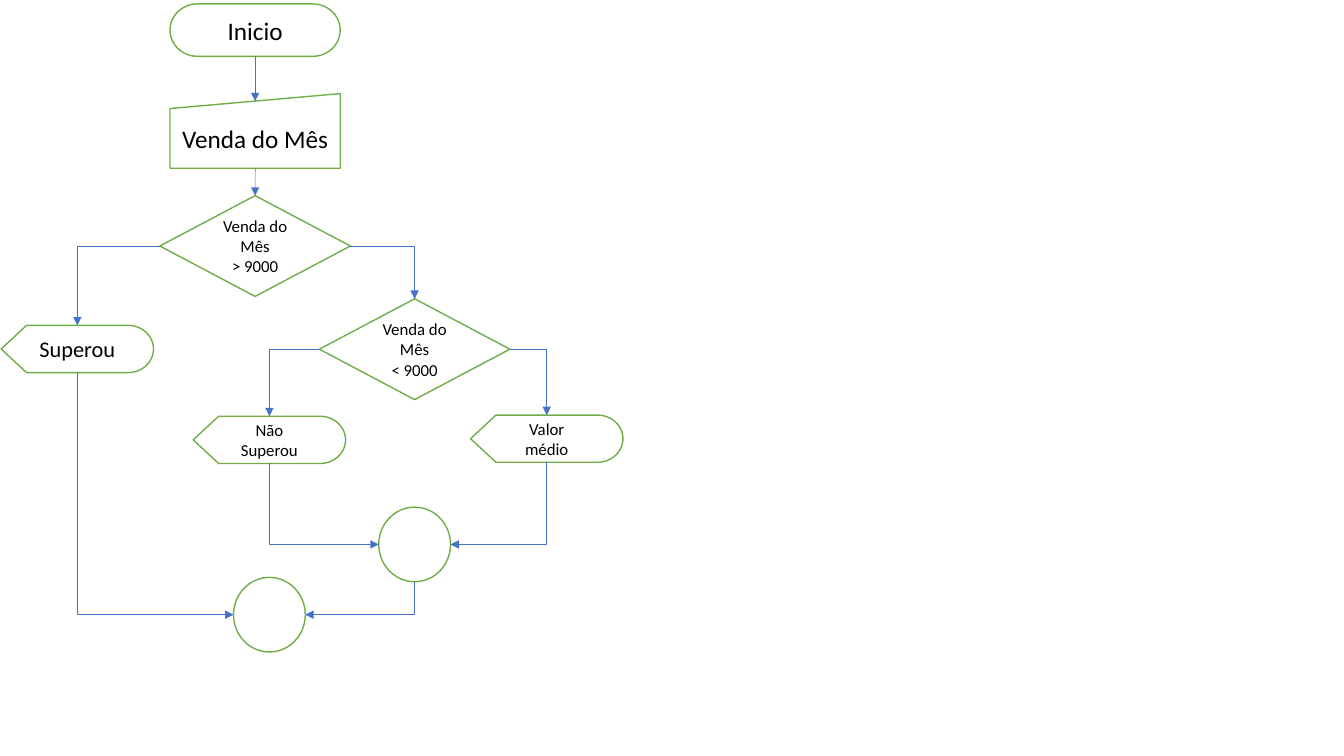
from pptx import Presentation
from pptx.dml.color import RGBColor
from pptx.enum.shapes import MSO_CONNECTOR, MSO_SHAPE
from pptx.enum.text import MSO_ANCHOR, PP_ALIGN
from pptx.oxml.ns import qn
from pptx.util import Cm, Pt
from lxml import etree

TERMINATOR = MSO_SHAPE.FLOWCHART_TERMINATOR
INPUT = MSO_SHAPE.FLOWCHART_MANUAL_INPUT
DECISION = MSO_SHAPE.FLOWCHART_DECISION
DISPLAY = MSO_SHAPE.FLOWCHART_DISPLAY
JOIN = MSO_SHAPE.FLOWCHART_CONNECTOR
STRAIGHT, ELBOW = MSO_CONNECTOR.STRAIGHT, MSO_CONNECTOR.ELBOW
CENTER, MIDDLE = PP_ALIGN.CENTER, MSO_ANCHOR.MIDDLE

COLORS = {"fill": "FFFFFF", "outline": "70AD47", "arrow": "4472C4", "text": "000000"}
FONT = "Calibri"
SIZES = {  # width and height in cm
    TERMINATOR: (4.29, 1.32),
    INPUT: (4.29, 1.88),
    DECISION: (4.8, 2.54),
    DISPLAY: (3.84, 1.19),
    JOIN: (1.81, 1.88),
}
TOP, BOTTOM = 0, 2


def color(name):
    return RGBColor.from_string(COLORS[name])


def write_text(shape, text, size=12, align=CENTER, anchor=MIDDLE):
    frame = shape.text_frame
    frame.word_wrap = True
    frame.vertical_anchor = anchor
    for index, line in enumerate(text.split("\n")):
        paragraph = frame.add_paragraph() if index else frame.paragraphs[0]
        paragraph.text = line
        paragraph.alignment = align
        paragraph.font.name = FONT
        paragraph.font.size = Pt(size)
        paragraph.font.color.rgb = color("text")


def add_node(slide, kind, center_x, top, text="", **text_format):
    """Place a flowchart symbol by its centre line and top edge, in cm."""
    width, height = SIZES[kind]
    shape = slide.shapes.add_shape(
        kind, Cm(center_x - width / 2), Cm(top), Cm(width), Cm(height))
    shape.shadow.inherit = False
    shape.fill.solid()
    shape.fill.fore_color.rgb = color("fill")
    shape.line.color.rgb = color("outline")
    shape.line.width = Pt(1)
    if text:
        write_text(shape, text, **text_format)
    return shape


def side_point(shape, side):
    middle_x = shape.left + shape.width // 2
    middle_y = shape.top + shape.height // 2
    return {
        "left": (shape.left, middle_y),
        "right": (shape.left + shape.width, middle_y),
        "top": (middle_x, shape.top),
        "bottom": (middle_x, shape.top + shape.height),
    }[side]


def add_arrow(slide, kind, start, end):
    arrow = slide.shapes.add_connector(kind, *start, *end)
    arrow.line.color.rgb = color("arrow")
    arrow.line.width = Pt(0.5)
    tail = etree.SubElement(arrow.line._get_or_add_ln(), qn("a:tailEnd"))
    tail.set("type", "triangle")
    etree.SubElement(arrow._element.spPr, qn("a:effectLst"))
    return arrow


def add_down_arrow(slide, upper, lower, top_slant=0):
    """Join two stacked symbols; top_slant lowers the tip onto a slanted top."""
    start, (end_x, end_y) = side_point(upper, "bottom"), side_point(lower, "top")
    arrow = add_arrow(slide, STRAIGHT, start, (end_x, end_y))
    arrow.begin_connect(upper, BOTTOM)
    arrow.end_connect(lower, TOP)
    arrow.end_y = end_y + Cm(top_slant)


def add_elbow(slide, source, source_side, target, target_side):
    """Draw a one-corner arrow, turned to suit the side it leaves from."""
    start, end = side_point(source, source_side), side_point(target, target_side)
    arrow = add_arrow(slide, ELBOW, start, end)
    arrow._element.spPr.find(qn("a:prstGeom")).set("prst", "bentConnector2")
    vertical_first = source_side == "bottom"
    goes_right = end[0] > start[0]
    rotation, flip = {
        (False, True): (0, None),
        (False, False): (180, "flipV"),
        (True, True): (270, "flipH"),
        (True, False): (90, None),
    }[vertical_first, goes_right]
    frame = arrow._element.spPr.find(qn("a:xfrm"))
    for name in ("flipH", "flipV"):
        frame.set(name, "1" if name == flip else "0")
    frame.set("rot", str(rotation * 60000))
    if vertical_first:
        width, height = arrow.width, arrow.height
        arrow.left += (width - height) // 2
        arrow.top += (height - width) // 2
        arrow.width, arrow.height = height, width


def draw_steps(slide, center_x, top):
    start = add_node(slide, TERMINATOR, center_x, top, "Inicio", size=18)
    sales = add_node(slide, INPUT, center_x, top + 2.26, "Venda do Mês", size=18)
    add_down_arrow(slide, start, sales, top_slant=SIZES[INPUT][1] / 10)
    return sales


def draw_decisions(slide, center_x, top):
    """Draw both tests with their three results."""
    above = add_node(slide, DECISION, center_x, top, "Venda do Mês\n> 9000")
    below = add_node(slide, DECISION, center_x + 4.02, top + 2.6, "Venda do Mês\n< 9000")
    exceeded = add_node(slide, DISPLAY, center_x - 4.48, top + 3.27, "Superou", size=16)
    missed = add_node(slide, DISPLAY, center_x + 0.36, top + 5.56, "Não Superou")
    average = add_node(slide, DISPLAY, center_x + 7.35, top + 5.53, "Valor médio")
    add_elbow(slide, above, "left", exceeded, "top")
    add_elbow(slide, above, "right", below, "top")
    add_elbow(slide, below, "left", missed, "top")
    add_elbow(slide, below, "right", average, "top")
    return above, exceeded, missed, average


def draw_joins(slide, center_x, top, exceeded, missed, average):
    """Bring the three results together in two joins."""
    inner = add_node(slide, JOIN, center_x + 3.66, top)
    outer = add_node(slide, JOIN, center_x, top + 1.77)
    add_elbow(slide, missed, "bottom", inner, "left")
    add_elbow(slide, average, "bottom", inner, "right")
    add_elbow(slide, exceeded, "bottom", outer, "left")
    add_elbow(slide, inner, "bottom", outer, "right")


def main():
    presentation = Presentation()
    presentation.slide_width, presentation.slide_height = Cm(33.87), Cm(19.05)
    slide = presentation.slides.add_slide(presentation.slide_layouts[6])
    sales = draw_steps(slide, 6.43, 0.1)
    first_test, *results = draw_decisions(slide, 6.43, 4.93)
    add_down_arrow(slide, sales, first_test)
    draw_joins(slide, 6.79, 12.78, *results)
    presentation.save("out.pptx")


if __name__ == "__main__":
    main()
